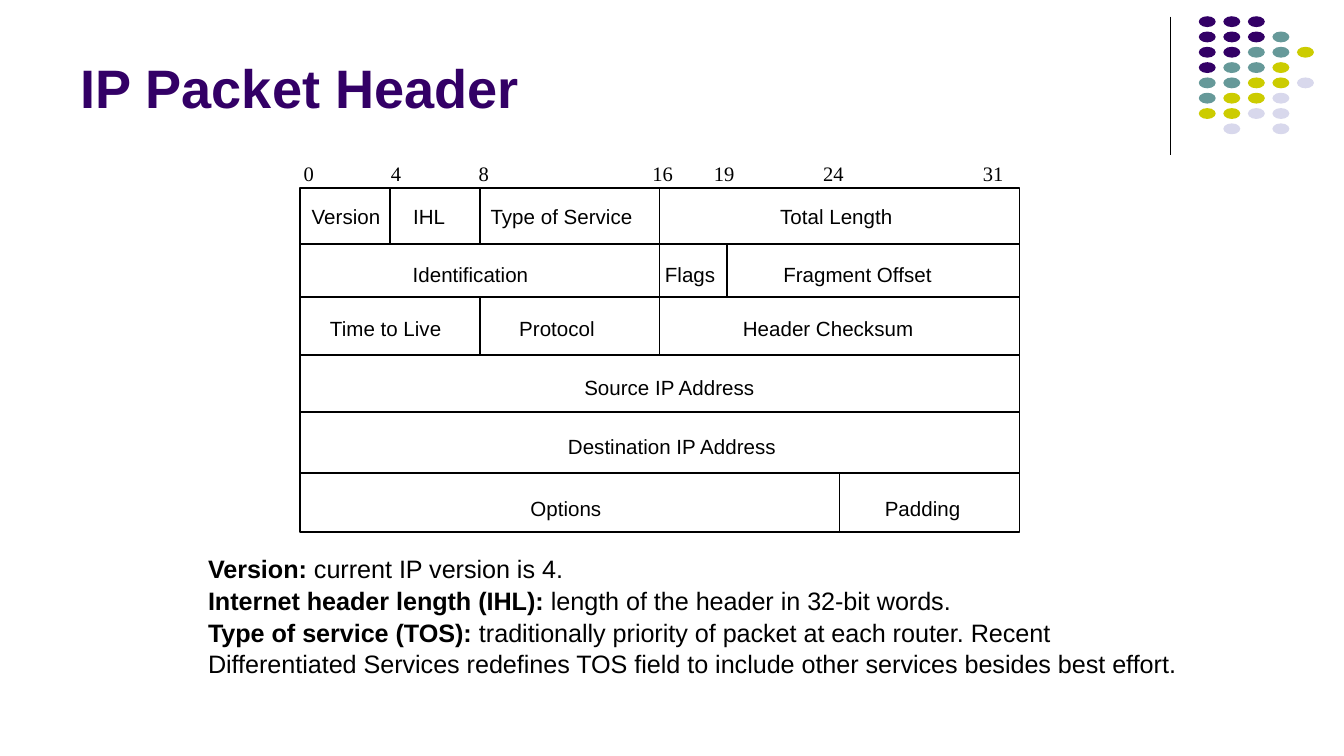
from lxml.etree import SubElement
from pptx import Presentation
from pptx.dml.color import RGBColor
from pptx.enum.shapes import MSO_CONNECTOR, MSO_SHAPE
from pptx.enum.text import MSO_ANCHOR
from pptx.oxml.ns import qn
from pptx.util import Pt

COLOURS = {"black": "000000", "purple": "330066", "teal": "669999",
           "lime": "CCCC00", "lavender": "D8D8EC"}
DOT_COLOURS = {"P": "purple", "T": "teal", "Y": "lime", "L": "lavender"}
DOT_ROWS = ["PPP", "PPPT", "PPTTY", "PTTY", "TTYYL", "TYYL", "YYLL", " L L"]

HEADER_LEFT, BIT_WIDTH, WORD_BITS = 160.6, 12.05, 32
ROW_EDGES = [100.7, 130.6, 159.1, 190.1, 220.7, 253.4, 285]
# Each divider: bit position, first row edge, last row edge
DIVIDERS = [(4, 0, 1), (8, 0, 1), (16, 0, 3), (19, 1, 2), (8, 2, 3), (24, 5, 6)]

# Each row: top, width, font, fields with their left edges
LABEL_ROWS = [
    (86.4, 393, "Times New Roman", [("0", 162.7), ("4", 209.4), ("8", 256.4), ("16", 349.5),
                                    ("19", 382.5), ("24", 441), ("31", 526.5)]),
    (109.4, 318, "Arial", [("Version", 167), ("IHL", 221.4), ("Type of Service", 262.8),
                           ("Total Length", 418)]),
    (140.4, 287, "Arial", [("Identification", 221.1), ("Flags", 356.2),
                           ("Fragment Offset", 419.6)]),
    (169.2, 324, "Arial", [("Time to Live", 176.8), ("Protocol", 278.2),
                           ("Header Checksum", 398)]),
    (200.9, 94.3, "Arial", [("Source IP Address", 313)]),
    (232.6, 115.2, "Arial", [("Destination IP Address", 304.3)]),
    (265.7, 238, "Arial", [("Options", 284.2), ("Padding", 474)]),
]
NOTES = [
    ("Version:", " current IP version is 4."),
    ("Internet header length (IHL):", " length of the header in 32-bit words."),
    ("Type of service (TOS):",
     " traditionally priority of packet at each router. Recent Differentiated Services "
     "redefines TOS field to include other services besides best effort."),
]


class SlidePainter:
    def __init__(self, page):
        self.page = page
        self.label_size = 11
        self.line_width = 0.88

    def colour(self, name):
        return RGBColor.from_string(COLOURS[name])

    def style_font(self, font, colour="black", **values):
        for name, value in values.items():
            setattr(font, name, value)
        font.color.rgb = self.colour(colour)

    def text_box(self, left, top, width, height, **frame_values):
        box = self.page.shapes.add_textbox(Pt(left), Pt(top), Pt(width), Pt(height))
        for name, value in {"word_wrap": True, **frame_values}.items():
            setattr(box.text_frame, name, value)
        return box.text_frame

    def title(self, text):
        frame = self.text_box(36, 7.2, 594, 60.5, vertical_anchor=MSO_ANCHOR.BOTTOM)
        span = frame.paragraphs[0].add_run()
        span.text = text
        self.style_font(span.font, "purple", name="Arial", size=Pt(29), bold=True)

    def label_row(self, top, width, font_name, fields):
        """Place the fields of one row in one box, each at its own tab stop."""
        left = fields[0][1]
        margins = dict.fromkeys(
            ["margin_left", "margin_top", "margin_right", "margin_bottom"], 0)
        frame = self.text_box(left, top, width, 13.7, **margins)
        para = frame.paragraphs[0]
        if len(fields) > 1:
            stops = SubElement(para._p.get_or_add_pPr(), qn("a:tabLst"))
            for _, position in fields[1:]:
                SubElement(stops, qn("a:tab"), pos=str(Pt(position - left)), algn="l")
        span = para.add_run()
        span.text = "\t".join(text for text, _ in fields)
        self.style_font(span.font, name=font_name, size=Pt(self.label_size))

    def notes(self, entries):
        frame = self.text_box(104.4, 292.3, 542.9, 72.7)
        for index, entry in enumerate(entries):
            para = frame.add_paragraph() if index else frame.paragraphs[0]
            para.line_spacing = 1.05
            for text, bold in zip(entry, (True, False)):
                span = para.add_run()
                span.text = text
                self.style_font(span.font, name="Arial", size=Pt(13.5), bold=bold)

    def line(self, x1, y1, x2, y2, width=None):
        line = self.page.shapes.add_connector(
            MSO_CONNECTOR.STRAIGHT, Pt(x1), Pt(y1), Pt(x2), Pt(y2))
        line.line.color.rgb = self.colour("black")
        line.line.width = Pt(width or self.line_width)
        SubElement(line._element.spPr, qn("a:effectLst"))

    def shape(self, kind, left, top, width, height, fill=None):
        """Draw a filled shape without outline, or an outline when no fill is given."""
        shape = self.page.shapes.add_shape(kind, Pt(left), Pt(top), Pt(width), Pt(height))
        shape.shadow.inherit = False
        if fill:
            shape.fill.solid()
            shape.fill.fore_color.rgb = self.colour(fill)
            shape.line.fill.background()
        else:
            shape.fill.background()
            shape.line.color.rgb = self.colour("black")
            shape.line.width = Pt(self.line_width)

    def dot_pattern(self):
        for row, marks in enumerate(DOT_ROWS):
            for column, mark in enumerate(marks):
                if mark in DOT_COLOURS:
                    self.shape(MSO_SHAPE.OVAL, 642.2 + 13.15 * column, 8.7 + 8.2 * row,
                               9.1, 5.8, DOT_COLOURS[mark])

    def header_grid(self):
        width = BIT_WIDTH * WORD_BITS
        top, bottom = ROW_EDGES[0], ROW_EDGES[-1]
        self.shape(MSO_SHAPE.RECTANGLE, HEADER_LEFT, top, width, bottom - top)
        for edge in ROW_EDGES[1:-1]:
            self.line(HEADER_LEFT, edge, HEADER_LEFT + width, edge)
        for bit, first, last in DIVIDERS:
            x = HEADER_LEFT + BIT_WIDTH * bit
            self.line(x, ROW_EDGES[first], x, ROW_EDGES[last])


def main():
    deck = Presentation()
    deck.slide_width, deck.slide_height = Pt(720), Pt(405)
    painter = SlidePainter(deck.slides.add_slide(deck.slide_layouts[6]))
    painter.line(627.1, 8.9, 627.1, 82.9, 0.75)
    painter.dot_pattern()
    painter.title("IP Packet Header")
    painter.header_grid()
    for row in LABEL_ROWS:
        painter.label_row(*row)
    painter.notes(NOTES)
    deck.save("out.pptx")


if __name__ == "__main__":
    main()
